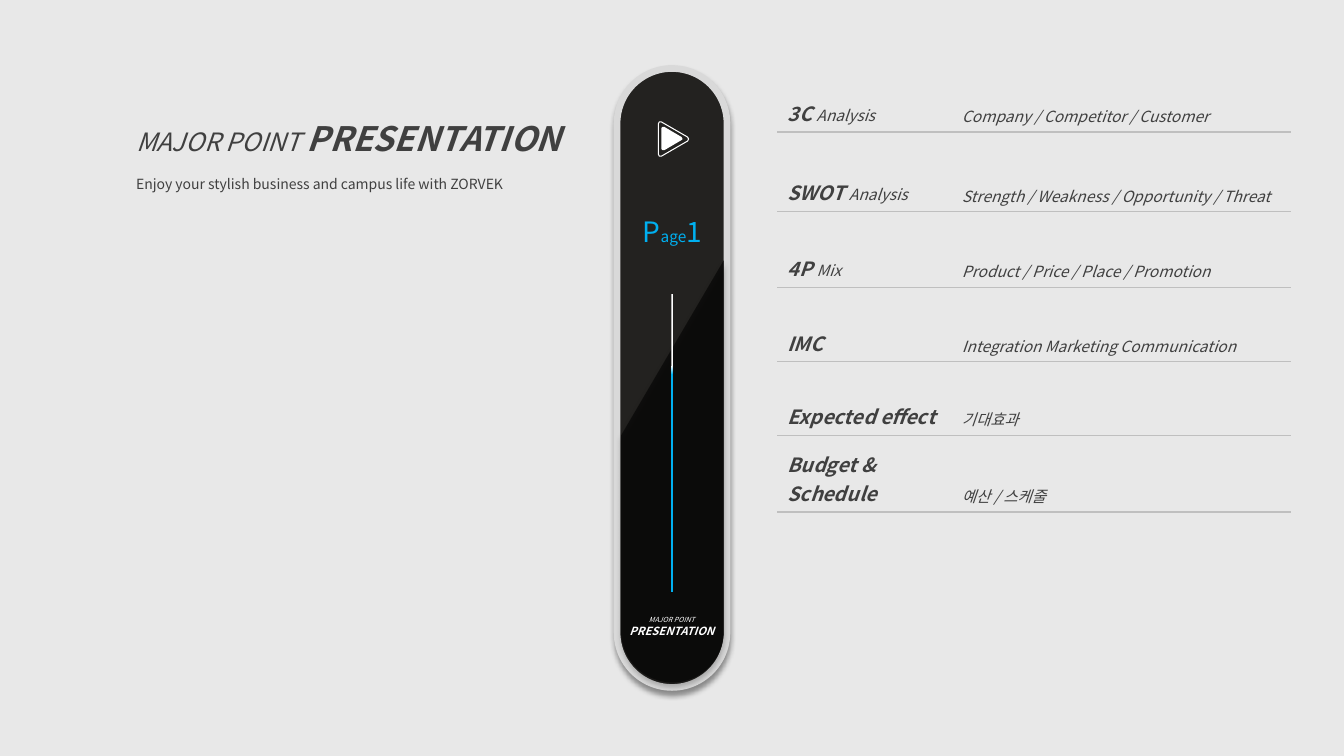
import math
from dataclasses import dataclass
from lxml import etree
from pptx import Presentation
from pptx.dml.color import RGBColor
from pptx.enum.shapes import MSO_SHAPE
from pptx.enum.text import MSO_ANCHOR, MSO_AUTO_SIZE, PP_ALIGN
from pptx.oxml import parse_xml
from pptx.oxml.ns import qn
from pptx.util import Inches, Pt

PILL, RECT = MSO_SHAPE.ROUNDED_RECTANGLE, MSO_SHAPE.RECTANGLE
TOP, BOTTOM = MSO_ANCHOR.TOP, MSO_ANCHOR.BOTTOM
LEFT, CENTER = PP_ALIGN.LEFT, PP_ALIGN.CENTER
NO_FIT = MSO_AUTO_SIZE.NONE
NS = 'xmlns:a="http://schemas.openxmlformats.org/drawingml/2006/main"'


@dataclass(frozen=True)
class Theme:
    font: str = "Noto Sans CJK KR"
    back: RGBColor = RGBColor(0xE8, 0xE8, 0xE8)
    ink: RGBColor = RGBColor(0x40, 0x40, 0x40)
    pill: RGBColor = RGBColor(0x23, 0x22, 0x20)
    rim: RGBColor = RGBColor(0xD9, 0xD9, 0xD9)
    rule: RGBColor = RGBColor(0xBF, 0xBF, 0xBF)
    blue: RGBColor = RGBColor(0x00, 0xB0, 0xF0)
    white: RGBColor = RGBColor(0xFF, 0xFF, 0xFF)
    black: RGBColor = RGBColor(0x00, 0x00, 0x00)
    title: int = 24
    subtitle: int = 18
    page: int = 20
    heading: int = 14
    body: int = 11
    small: int = 10
    logo: int = 8
    tiny: int = 5


T = Theme()


def add_runs(p, runs, color, italic=True):
    for text, size, bold in runs:
        r = p.add_run()
        r.text = text
        f = r.font
        f.name, f.size, f.bold, f.italic = T.font, Pt(size), bold, italic
        f.color.rgb = color
        ea = etree.SubElement(r._r.get_or_add_rPr(), qn("a:ea"))
        ea.set("typeface", T.font)


def add_outline(shapes, points):
    points = [(Inches(x), Inches(y)) for x, y in points]
    fb = shapes.build_freeform(*points[0])
    fb.add_line_segments(points[1:], close=True)
    sp = fb.convert_to_shape()
    sp.shadow.inherit = False
    return sp


prs = Presentation()
prs.slide_width, prs.slide_height = Inches(13.33), Inches(7.5)
s = prs.slides.add_slide(prs.slide_layouts[5])
s.background.fill.solid()
s.background.fill.fore_color.rgb = T.back

title = s.shapes.title
title.left, title.top = Inches(1.25), Inches(0.92)
title.width, title.height = Inches(5.26), Inches(1.04)
tf = title.text_frame
tf.auto_size, tf.vertical_anchor = NO_FIT, TOP
p = tf.paragraphs[0]
p.alignment, p.line_spacing = LEFT, 1.5
add_runs(p, [("MAJOR POINT ", T.subtitle, False), ("PRESENTATION", T.title, True)], T.ink)
p = tf.add_paragraph()
p.alignment, p.line_spacing = LEFT, 2.0
add_runs(p, [("Enjoy your stylish business and campus life with ZORVEK", T.small, False)], T.ink, False)

pill = s.shapes.add_shape(PILL, Inches(6.12), Inches(0.68), Inches(1.09), Inches(6.14))
pill.adjustments[0] = 0.5
pill.shadow.inherit = False
pill.fill.solid()
pill.fill.fore_color.rgb = T.pill
pill.line.color.rgb = T.rim
pill.line.width = Pt(4.75)

arc = [(6.67 + 0.51 * math.cos(math.radians(a)), 6.26 + 0.51 * math.sin(math.radians(a)))
       for a in range(0, 181, 5)]
shade = add_outline(s.shapes, [(7.18, 2.58)] + arc + [(6.16, 4.32)])
shade.fill.solid()
shade.fill.fore_color.rgb = T.black
shade.line.fill.background()
color = shade._element.spPr.find(".//" + qn("a:srgbClr"))
etree.SubElement(color, qn("a:alpha")).set("val", "57000")

for sp in (pill, shade):
    sp._element.spPr.find(qn("a:effectLst")).append(parse_xml(
        f'<a:outerShdw {NS} blurRad="{Pt(4)}" dist="{Pt(3)}" dir="5400000" rotWithShape="0">'
        f'<a:srgbClr val="{T.black}"><a:alpha val="40000"/></a:srgbClr></a:outerShdw>'))

bar = s.shapes.add_shape(RECT, Inches(6.66), Inches(2.92), Inches(0.02), Inches(2.95))
bar.shadow.inherit = False
bar.line.fill.background()
bar.fill.gradient()
bar.fill.gradient_angle = 270
for stop, position, color in zip(bar.fill.gradient_stops, (0.24, 0.27), (T.white, T.blue)):
    stop.position = position
    stop.color.rgb = color

labels = [
    (6.1, 6.06, 1.13, 0.32, T.white, True,
     [("MAJOR POINT ", T.tiny, False), ("PRESENTATION", T.logo, True)]),
    (6.15, 2.08, 1.04, 0.44, T.blue, False,
     [("P", T.page, False), ("age", T.body, False), ("1", T.page, False)]),
]
for x, y, w, h, color, italic, runs in labels:
    tf = s.shapes.add_textbox(Inches(x), Inches(y), Inches(w), Inches(h)).text_frame
    tf.word_wrap = True
    p = tf.paragraphs[0]
    p.alignment = CENTER
    add_runs(p, runs, color, italic)

play = s.shapes.add_group_shape()
ring = add_outline(play.shapes, [(6.82, 1.36), (6.56, 1.21), (6.54, 1.21), (6.53, 1.23), (6.53, 1.53),
                                 (6.54, 1.55), (6.56, 1.55), (6.82, 1.4), (6.83, 1.38)])
ring.fill.background()
ring.line.color.rgb = T.white
ring.line.width = Pt(0.75)
core = add_outline(play.shapes, [(6.76, 1.36), (6.59, 1.26), (6.57, 1.26), (6.56, 1.27), (6.56, 1.48),
                                 (6.57, 1.49), (6.59, 1.49), (6.76, 1.39), (6.77, 1.38)])
core.fill.solid()
core.fill.fore_color.rgb = T.white
core.line.fill.background()

agenda = [
    (0.86, "3C ", "Analysis", "Company / Competitor / Customer"),
    (0.79, "SWOT ", "Analysis", "Strength / Weakness / Opportunity / Threat"),
    (0.75, "4P ", "Mix", "Product / Price / Place / Promotion"),
    (0.74, "IMC", "", "Integration Marketing Communication"),
    (0.73, "Expected effect", "", "기대효과"),
    (0.76, "Budget & Schedule", "", "예산 / 스케줄"),
]
frame = s.shapes.add_table(len(agenda), 2, Inches(7.71), Inches(0.45), Inches(5.09), Inches(4.63))
table = frame.table
table.first_row = table.horz_banding = False
table._tbl.tblPr.find(qn("a:tableStyleId")).text = "{2D5ABB26-0587-4C30-8999-92F81FD0307C}"
table.columns[0].width, table.columns[1].width = Inches(1.73), Inches(3.36)
for row, (height, topic, kind, detail) in zip(table.rows, agenda):
    row.height = Inches(height)
    heading = [(topic, T.heading, True)]
    if kind:
        heading.append((kind, T.body, False))
    for cell, runs, spacing in zip(row.cells, (heading, [(detail, T.body, False)]), (1.0, 1.5)):
        cell.vertical_anchor = BOTTOM
        cell.fill.background()
        p = cell.text_frame.paragraphs[0]
        p.line_spacing = spacing
        add_runs(p, runs, T.ink)
        cell._tc.get_or_add_tcPr().insert(0, parse_xml(
            f'<a:lnB {NS} w="{Pt(1)}"><a:solidFill><a:srgbClr val="{T.rule}"/></a:solidFill></a:lnB>'))

prs.save("out.pptx")
